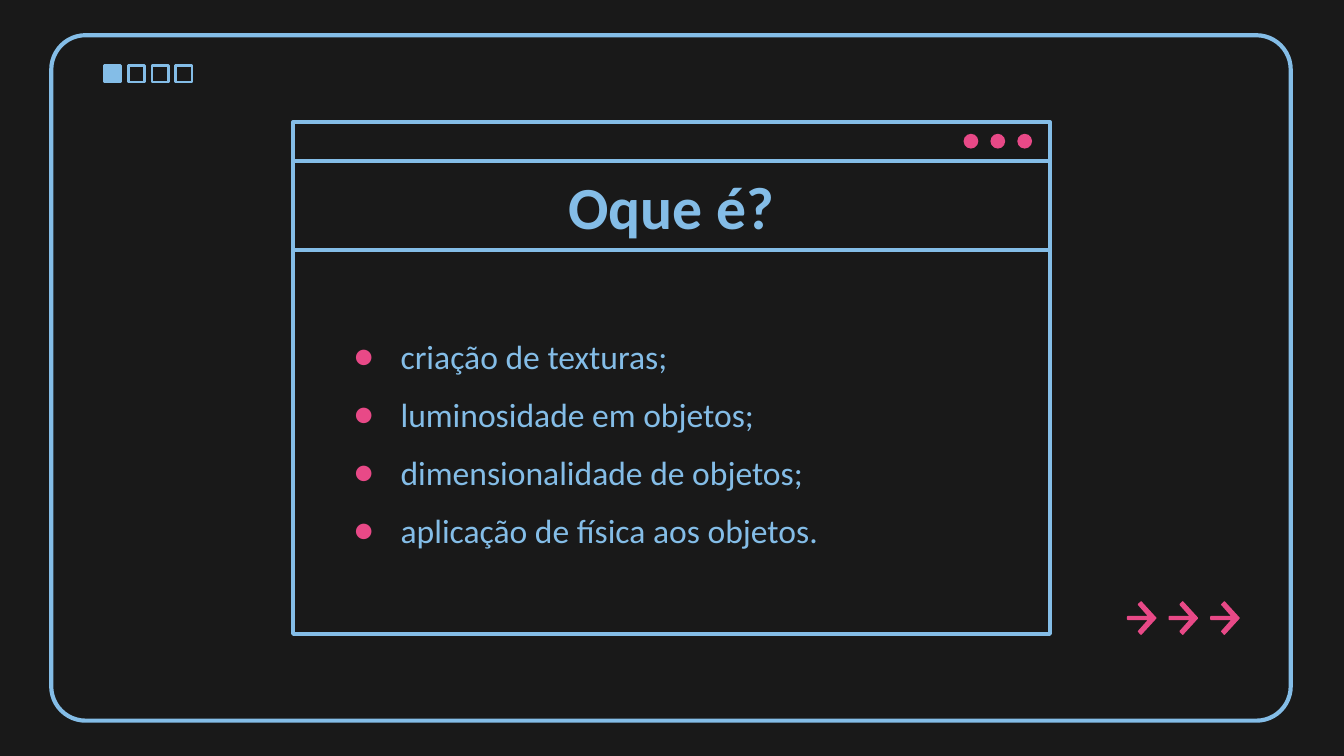
from lxml.etree import SubElement
from pptx import Presentation
from pptx.dml.color import RGBColor
from pptx.enum.shapes import MSO_SHAPE
from pptx.enum.text import MSO_ANCHOR, MSO_AUTO_SIZE, PP_ALIGN
from pptx.oxml.ns import qn
from pptx.util import Pt

DARK, BLUE, PINK = "191919", "84BDE7", "E84987"


def color(value):
    return RGBColor.from_string(value)


class Slide:
    """Holds the style and the current page; lengths are in points."""

    font = "Calibri"

    def __init__(self, page):
        self.page = page
        page.background.fill.solid()
        page.background.fill.fore_color.rgb = color(DARK)

    def paint(self, shape, fill=None, line=None, weight=2.25):
        if fill:
            shape.fill.solid()
            shape.fill.fore_color.rgb = color(fill)
        else:
            shape.fill.background()
        if line:
            shape.line.color.rgb = color(line)
            shape.line.width = Pt(weight)
            SubElement(shape.line._get_or_add_ln(), qn("a:round"))
        else:
            shape.line.fill.background()

    def shape(self, kind, left, top, width, height, **style):
        shape = self.page.shapes.add_shape(kind, Pt(left), Pt(top), Pt(width), Pt(height))
        shape.shadow.inherit = False
        self.paint(shape, **style)
        return shape

    def arrow(self, left, top):
        outline = [(7.2, 0), (5.8, 1.4), (11.5, 7.9), (0, 7.9), (0, 9.4),
                   (11.5, 9.4), (5.8, 15.8), (7.2, 17.3), (15.1, 8.65)]
        points = [(round((left + x) * 100), round((top + y) * 100)) for x, y in outline]
        builder = self.page.shapes.build_freeform(*points[0], scale=Pt(1) / 100)
        builder.add_line_segments(points[1:], close=True)
        shape = builder.convert_to_shape()
        shape.shadow.inherit = False
        self.paint(shape, fill=PINK, line=PINK, weight=0.75)

    def panel(self, box, left, top, width, height, inset):
        """Place and frame a placeholder, and return its text frame."""
        box.left, box.top, box.width, box.height = Pt(left), Pt(top), Pt(width), Pt(height)
        self.paint(box, line=BLUE)
        frame = box.text_frame
        frame.word_wrap = True
        frame.auto_size = MSO_AUTO_SIZE.NONE
        frame.vertical_anchor = MSO_ANCHOR.MIDDLE
        frame.margin_left = frame.margin_right = Pt(inset)
        frame.margin_top = frame.margin_bottom = Pt(7.2)
        return frame

    def text(self, para, words, size, bold=False):
        span = para.add_run()
        span.text = words
        span.font.name = self.font
        span.font.size = Pt(size)
        span.font.bold = bold
        span.font.color.rgb = color(BLUE)

    def title(self, words, *place):
        para = self.panel(self.page.shapes.title, *place, inset=7.2).paragraphs[0]
        para.alignment = PP_ALIGN.CENTER
        self.text(para, words, 32, bold=True)

    def bullets(self, items, *place):
        frame = self.panel(self.page.placeholders[1], *place, inset=21.6)
        for index, item in enumerate(items):
            para = frame.add_paragraph() if index else frame.paragraphs[0]
            para.alignment = PP_ALIGN.LEFT
            para.line_spacing = 1.07
            para.space_before, para.space_after = Pt(0), Pt(8)
            props = para._p.get_or_add_pPr()
            props.set("marL", str(Pt(36)))
            props.set("indent", str(-Pt(25.2)))
            SubElement(SubElement(props, qn("a:buClr")), qn("a:srgbClr"), val=PINK)
            SubElement(props, qn("a:buFont"), typeface=self.font)
            SubElement(props, qn("a:buChar"), char="●")
            self.text(para, item, 18)


def main():
    deck = Presentation()
    deck.slide_width, deck.slide_height = Pt(720), Pt(405)
    slide = Slide(deck.slides.add_slide(deck.slide_layouts[1]))

    # Outer frame and page squares, the first one filled
    frame = slide.shape(MSO_SHAPE.ROUNDED_RECTANGLE, 27.5, 18.9, 664, 367.2, line=BLUE)
    frame.adjustments[0] = 0.05
    for index in range(4):
        slide.shape(MSO_SHAPE.RECTANGLE, 56 + 12.7 * index, 35.2, 8.8, 8.8,
                    fill=None if index else BLUE, line=BLUE, weight=1.5)

    # Window: bar with three dots, title, list
    left, width = 157, 405.4
    slide.shape(MSO_SHAPE.RECTANGLE, left, 65.4, width, 20.9, line=BLUE)
    for index in range(3):
        slide.shape(MSO_SHAPE.OVAL, 516.2 + 14.4 * index, 71.7, 7.9, 7.9, fill=PINK)
    slide.title("Oque é?", left, 86.3, width, 47.6)
    slide.bullets(["criação de texturas;", "luminosidade em objetos;",
                   "dimensionalidade de objetos;", "aplicação de física aos objetos."],
                  left, 133.9, width, 205.7)

    # Arrows at the lower right
    for index in range(3):
        slide.arrow(604.1 + 22.3 * index, 322.5)

    deck.save("out.pptx")


if __name__ == "__main__":
    main()
